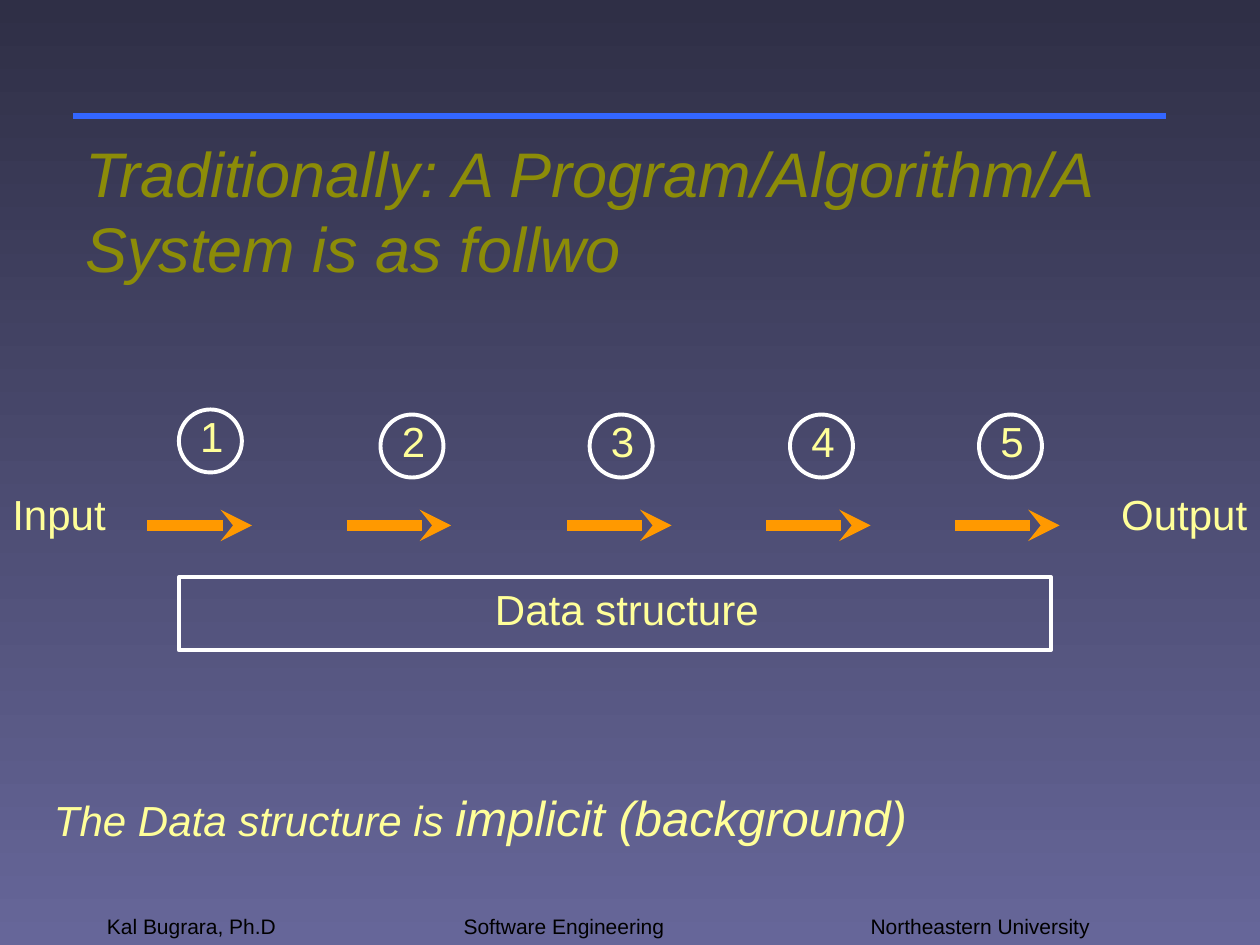
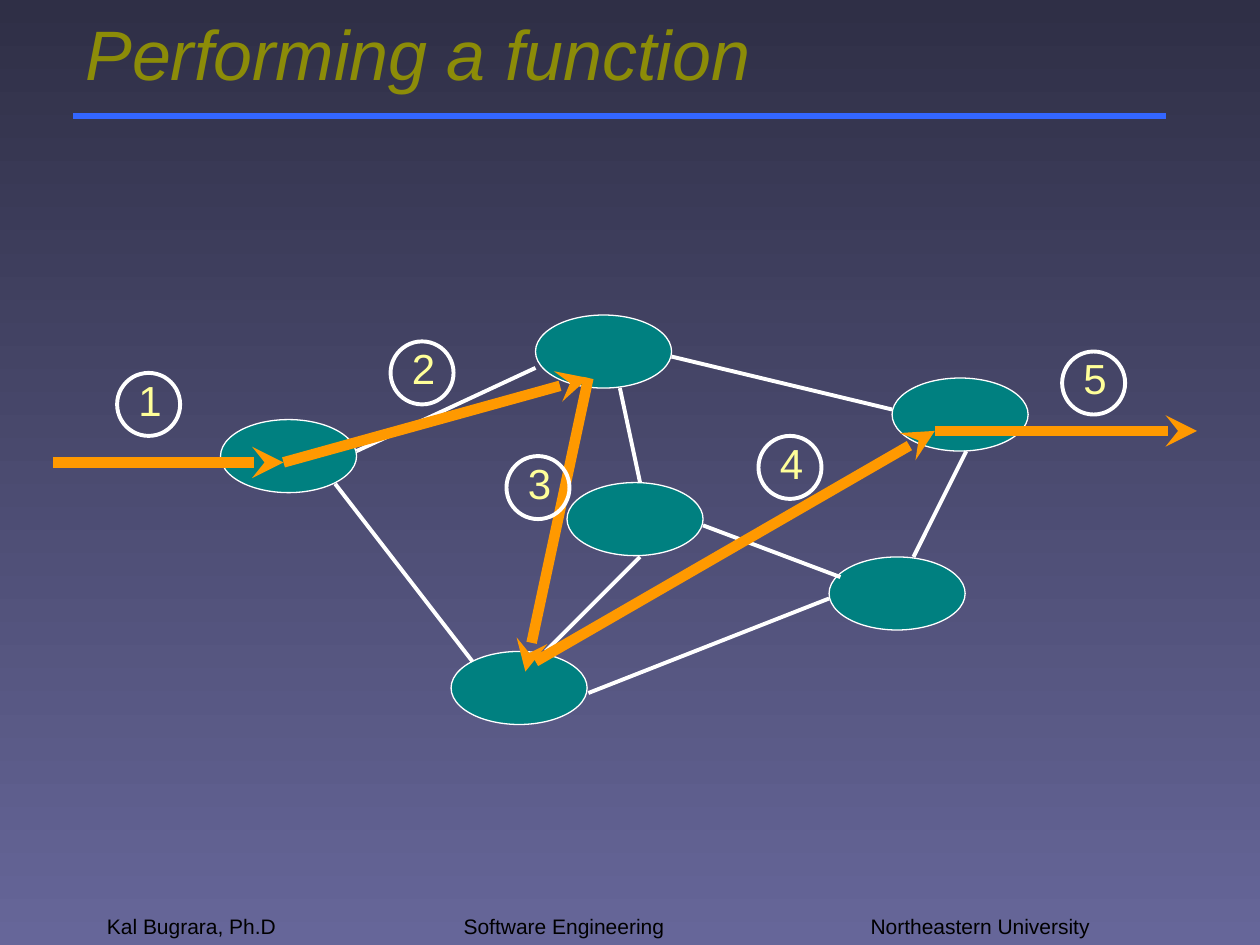
from dataclasses import dataclass
from pptx import Presentation
from pptx.dml.color import RGBColor
from pptx.enum.shapes import MSO_CONNECTOR, MSO_SHAPE
from pptx.enum.text import MSO_ANCHOR
from pptx.oxml.ns import qn
from pptx.util import Inches, Pt
from lxml.etree import SubElement


@dataclass(frozen=True)
class Theme:
    font: str = "Arial"
    top: str = "2F2F46"
    bottom: str = "666699"
    rule: str = "3366FF"
    title: str = "8C8C08"
    label: str = "FFFF99"
    footer: str = "000000"
    white: str = "FFFFFF"
    arrow: str = "FF9900"
    node: str = "008080"
    label_size: int = 24
    emphasis_size: int = 28
    footer_size: int = 12
    outline: float = 2.25
    thin: float = 0.75
    rule_width: float = 3
    arrow_width: float = 6


T = Theme()

# Content shared by both slides
FOOTER_AUTHOR = "Kal Bugrara, Ph.D"
FOOTER_COURSE = "Software Engineering\tNortheastern University"
FOOTER_INSET, FOOTER_TAB = 0.51, 3.23

# Slide 1: a pipeline of numbered steps over one data structure
PIPELINE_TITLE = "Traditionally: A Program/Algorithm/A System is as follwo"
STEP_MARKERS = [(1.42, 3.25), (3.02, 3.29), (4.68, 3.29), (6.27, 3.29), (7.77, 3.29)]
STEP_ARROWS = [1.17, 2.75, 4.5, 6.08, 7.58]
ARROW_Y, ARROW_LENGTH = 4.17, 0.83
DATA_BOX = (1.42, 4.58, 6.92, 0.58)
PIPELINE_LABELS = [
    ("Input", (0, 3.83, 0.94, 0.5)),
    ("Output", (8.8, 3.83, 1.2, 0.5)),
    ("Data structure", (3.83, 4.58, 2.3, 0.5)),
]
NOTE = [("The Data structure is ", T.label_size), ("implicit (background)", T.emphasis_size)]

# Slide 2: a path of calls through a network of objects
NETWORK_TITLE = "Performing a function"
NODE_SIZE = (1.08, 0.58)
NODES = [(1.75, 3.33), (4.25, 2.5), (4.5, 3.83), (3.58, 5.17), (6.58, 4.42), (7.08, 3)]
LINKS = [
    ((2.66, 3.84), (3.75, 5.25)),
    ((2.83, 3.58), (4.25, 2.92)),
    ((4.92, 3.08), (5.08, 3.83)),
    ((5.08, 4.42), (4.33, 5.17)),
    ((7.67, 3.58), (7.25, 4.42)),
    ((4.67, 5.5), (6.58, 4.75)),
    ((5.58, 4.17), (6.67, 4.58)),
    ((5.33, 2.83), (7.08, 3.25)),
]
CALLS = [
    ((0.42, 3.67), (2.25, 3.67)),
    ((2.25, 3.67), (4.67, 3)),
    ((4.67, 3), (4.17, 5.33)),
    ((4.25, 5.25), (7.42, 3.42)),
    ((7.42, 3.42), (9.5, 3.42)),
]
CALL_MARKERS = [(0.93, 2.96), (3.1, 2.71), (4.02, 3.62), (6.02, 3.46), (8.43, 2.79)]


def rgb(color):
    return RGBColor.from_string(color)


def add_line(s, start, end, color, width, arrow=False):
    c = s.shapes.add_connector(MSO_CONNECTOR.STRAIGHT, *map(Inches, start + end))
    c.line.color.rgb = rgb(color)
    c.line.width = Pt(width)
    if arrow:
        SubElement(c.line._get_or_add_ln(), qn("a:tailEnd"), type="stealth")
    SubElement(c._element.spPr, qn("a:effectLst"))


def add_outline(s, kind, box, width, fill=None):
    sp = s.shapes.add_shape(kind, *map(Inches, box))
    sp.shadow.inherit = False
    if fill:
        sp.fill.solid()
        sp.fill.fore_color.rgb = rgb(fill)
    else:
        sp.fill.background()
    sp.line.color.rgb = rgb(T.white)
    sp.line.width = Pt(width)


def add_text(s, box, runs, color=T.label, italic=False, tab=None, **frame):
    """Write one paragraph of (text, size) runs; frame holds text frame settings."""
    tf = s.shapes.add_textbox(*map(Inches, box)).text_frame
    for name, value in ({"word_wrap": True} | frame).items():
        setattr(tf, name, value)
    p = tf.paragraphs[0]
    if tab:
        tabs = SubElement(p._p.get_or_add_pPr(), qn("a:tabLst"))
        SubElement(tabs, qn("a:tab"), pos=str(Inches(tab)), algn="l")
    for text, size in runs:
        r = p.add_run()
        r.text = text
        for name, value in {"name": T.font, "size": Pt(size), "italic": italic}.items():
            setattr(r.font, name, value)
        r.font.color.rgb = rgb(color)


def add_markers(s, places):
    for number, (x, y) in enumerate(places, 1):
        add_outline(s, MSO_SHAPE.OVAL, (x, y, 0.5, 0.5), T.outline)
        add_text(s, (x + 0.07, y - 0.04, 0.39, 0.5), [(str(number), T.label_size)])


def add_base(prs, title, title_top, title_size):
    """Add a slide with its background, rule, footers and title."""
    s = prs.slides.add_slide(prs.slide_layouts[6])
    fill = s.background.fill
    fill.gradient()
    fill.gradient_angle = 270
    for stop, color in zip(fill.gradient_stops, (T.top, T.bottom)):
        stop.color.rgb = rgb(color)
    add_line(s, (0.58, 0.92), (9.25, 0.92), T.rule, T.rule_width)
    add_text(s, (0.75, 7, 2.08, 0.5), [(FOOTER_AUTHOR, T.footer_size)], T.footer,
             vertical_anchor=MSO_ANCHOR.BOTTOM)
    add_text(s, (3.17, 7, 6, 0.5), [(FOOTER_COURSE, T.footer_size)], T.footer, tab=FOOTER_TAB,
             vertical_anchor=MSO_ANCHOR.BOTTOM, margin_left=Inches(FOOTER_INSET))
    add_text(s, (0.58, title_top, 8.67, 0.83), [(title, title_size)], T.title, italic=True,
             vertical_anchor=MSO_ANCHOR.MIDDLE)
    return s


def build_pipeline(prs):
    s = add_base(prs, PIPELINE_TITLE, 1.25, 36)
    for x in STEP_ARROWS:
        add_line(s, (x, ARROW_Y), (x + ARROW_LENGTH, ARROW_Y), T.arrow, T.arrow_width, arrow=True)
    add_markers(s, STEP_MARKERS)
    add_outline(s, MSO_SHAPE.RECTANGLE, DATA_BOX, T.outline)
    for text, box in PIPELINE_LABELS:
        add_text(s, box, [(text, T.label_size)], word_wrap=False)
    add_text(s, (0.33, 6.2, 6.98, 0.57), NOTE, italic=True, word_wrap=False)


def build_network(prs):
    s = add_base(prs, NETWORK_TITLE, 0, 40)
    for place in NODES:
        add_outline(s, MSO_SHAPE.OVAL, place + NODE_SIZE, T.thin, T.node)
    for start, end in LINKS:
        add_line(s, start, end, T.white, T.outline)
    for start, end in CALLS:
        add_line(s, start, end, T.arrow, T.arrow_width, arrow=True)
    add_markers(s, CALL_MARKERS)


def main():
    prs = Presentation()
    prs.slide_width, prs.slide_height = Inches(10), Inches(7.5)
    build_pipeline(prs)
    build_network(prs)
    prs.save("out.pptx")


if __name__ == "__main__":
    main()
